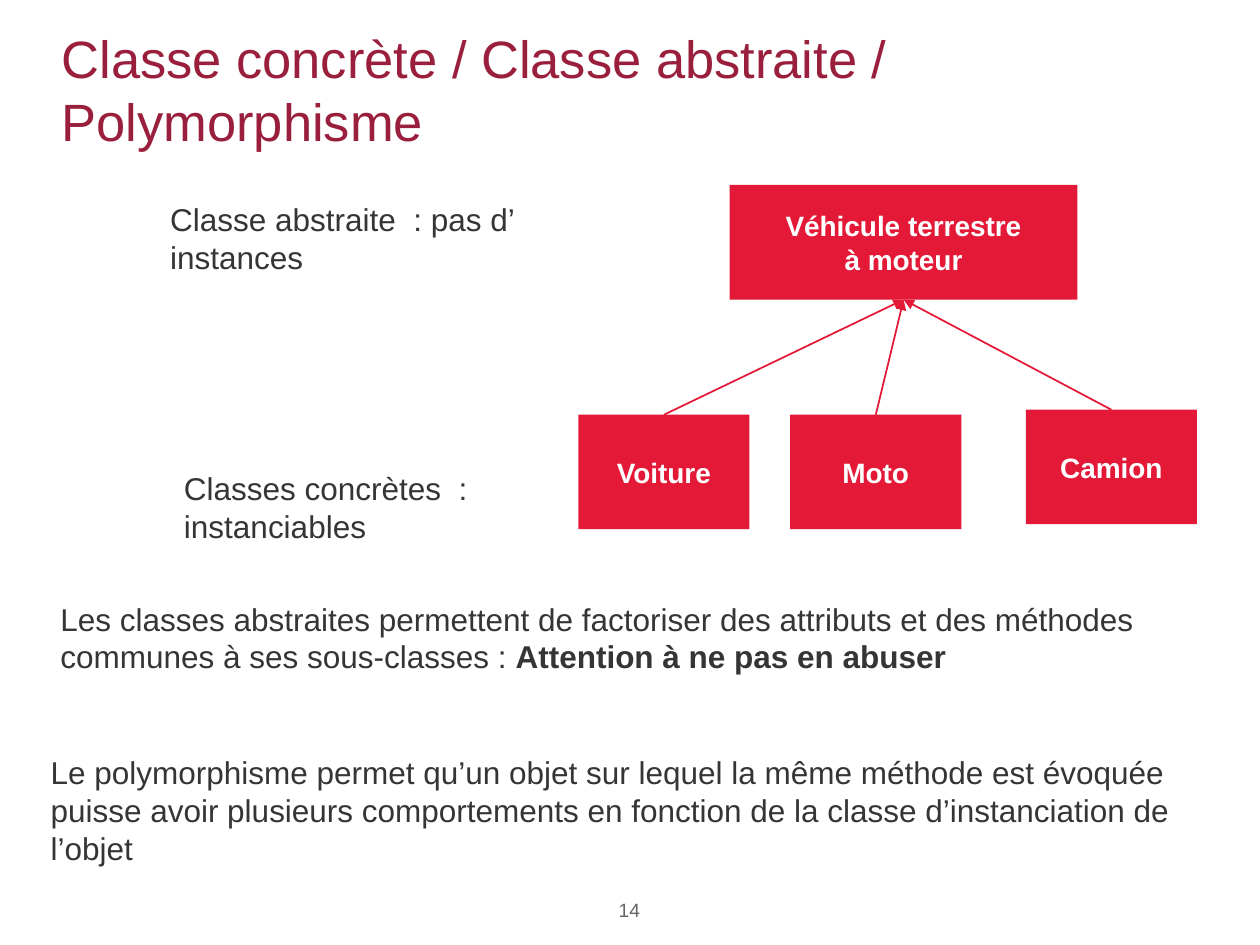
from lxml.etree import SubElement
from pptx import Presentation
from pptx.dml.color import RGBColor
from pptx.enum.shapes import MSO_CONNECTOR, MSO_SHAPE
from pptx.enum.text import MSO_ANCHOR, PP_ALIGN
from pptx.oxml.ns import qn
from pptx.util import Cm, Pt

RED = RGBColor(0xE3, 0x19, 0x37)
BURGUNDY = RGBColor(0x99, 0x1F, 0x3D)
DARK = RGBColor(0x36, 0x35, 0x34)
GREY = RGBColor(0x66, 0x66, 0x66)
WHITE = RGBColor(0xFF, 0xFF, 0xFF)


def style(tf, size, color, bold=False, align=PP_ALIGN.LEFT, side=0):
    tf.word_wrap = True
    tf.margin_left = tf.margin_right = Cm(side)
    tf.margin_top = tf.margin_bottom = 0
    for p in tf.paragraphs:
        p.alignment = align
        for r in p.runs:
            r.font.name = "Arial"
            r.font.size = Pt(size)
            r.font.bold = bold
            r.font.color.rgb = color


def add_box(s, text, x, y, w, h):
    sp = s.shapes.add_shape(MSO_SHAPE.RECTANGLE, Cm(x), Cm(y), Cm(w), Cm(h))
    sp.shadow.inherit = False
    sp.fill.solid()
    sp.fill.fore_color.rgb = RED
    sp.line.fill.background()
    tf = sp.text_frame
    tf.text = text
    tf.vertical_anchor = MSO_ANCHOR.MIDDLE
    style(tf, 16, WHITE, True, PP_ALIGN.CENTER, 0.18)
    return sp


prs = Presentation()
prs.slide_width, prs.slide_height = Cm(25.4), Cm(19.05)
s = prs.slides.add_slide(prs.slide_layouts[6])

title = s.shapes.add_textbox(Cm(1.24), Cm(0.51), Cm(22.89), Cm(2.57))
title.text_frame.text = "Classe concrète / Classe abstraite / Polymorphisme"
title.text_frame.vertical_anchor = MSO_ANCHOR.MIDDLE
style(title.text_frame, 30, BURGUNDY)

number = s.shapes.add_textbox(Cm(11.61), Cm(18.11), Cm(2.16), Cm(0.66))
number.text_frame.text = "14"
style(number.text_frame, 11, GREY, align=PP_ALIGN.CENTER)

texts = [
    ("Classes concrètes  : instanciables", "", 3.71, 9.45, 6.91, 1.55),
    ("Classe abstraite  : pas d’ instances", "", 3.43, 4.04, 8.08, 1.55),
    ("Les classes abstraites permettent de factoriser des attributs et des "
     "méthodes communes à ses sous-classes : ",
     "Attention à ne pas en abuser", 1.22, 12.09, 22.02, 2.31),
    ("Le polymorphisme permet qu’un objet sur lequel la même méthode est "
     "évoquée puisse avoir plusieurs comportements en fonction de la classe "
     "d’instanciation de l’objet", "", 1.02, 15.19, 23.32, 2.31),
]
for text, warning, x, y, w, h in texts:
    tf = s.shapes.add_textbox(Cm(x), Cm(y), Cm(w), Cm(h)).text_frame
    tf.text = text
    if warning:
        tf.paragraphs[0].add_run().text = warning
    style(tf, 18, DARK)
    if warning:
        tf.paragraphs[0].runs[-1].font.bold = True

parent = add_box(s, "Véhicule terrestre\nà moteur", 14.71, 3.73, 7.01, 2.31)
children = [("Voiture", 11.66, 8.36), ("Moto", 15.93, 8.36), ("Camion", 20.68, 8.26)]
for name, x, y in children:
    child = add_box(s, name, x, y, 3.45, 2.31)
    line = s.shapes.add_connector(MSO_CONNECTOR.STRAIGHT, 0, 0, 0, 0)
    line.begin_connect(child, 0)
    line.end_connect(parent, 2)
    line.line.color.rgb = RED
    line.line.width = Pt(1)
    SubElement(line.line._get_or_add_ln(), qn("a:tailEnd"), type="triangle")
    SubElement(line._element.spPr, qn("a:effectLst"))

prs.save("out.pptx")
